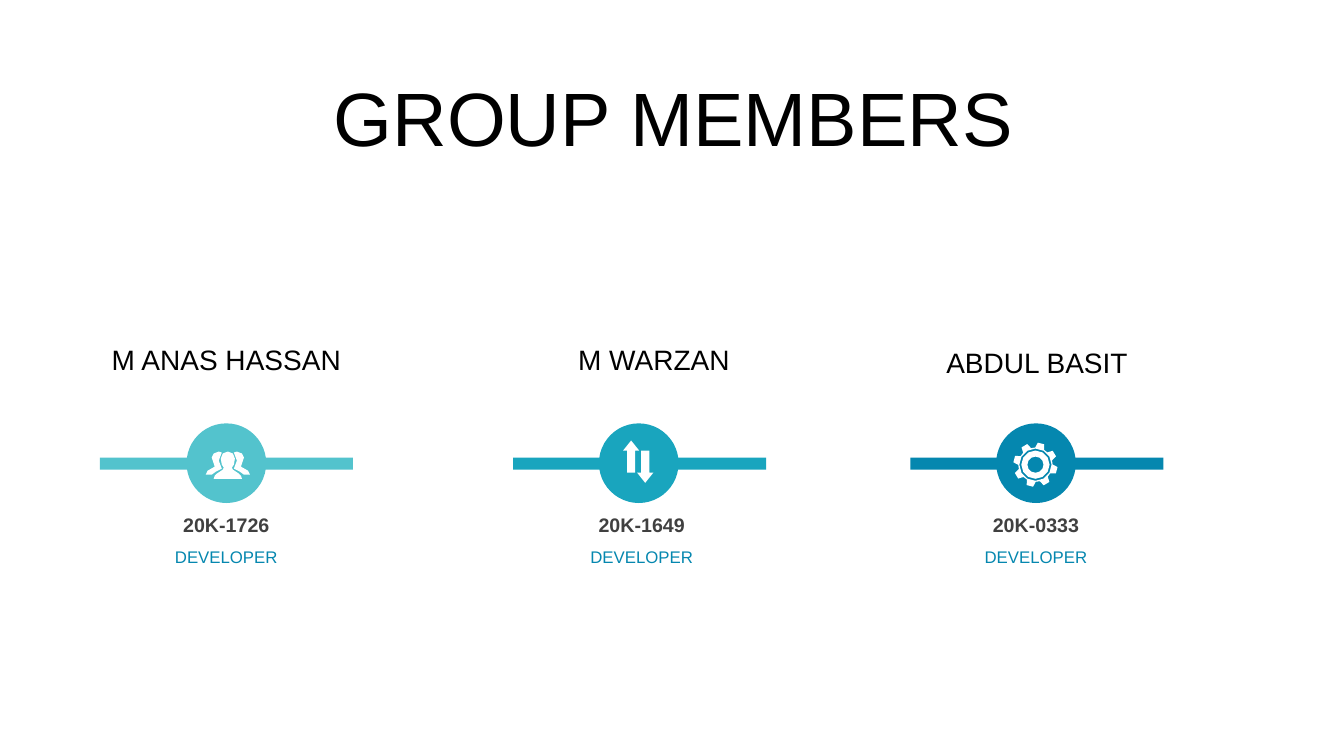
"""Build a slide that introduces three group members with icons, names and roles."""
import math
from pptx import Presentation
from pptx.dml.color import RGBColor
from pptx.enum import shapes, text
from pptx.util import Inches, Pt

WHITE = RGBColor(0xFF, 0xFF, 0xFF)
BLACK = RGBColor(0x00, 0x00, 0x00)
GREY = RGBColor(0x40, 0x40, 0x40)
AQUA = RGBColor(0x53, 0xC3, 0xCD)
TEAL = RGBColor(0x19, 0xA5, 0xBE)
BLUE = RGBColor(0x05, 0x87, 0xAF)


def write(box, words, size, colour, bold=False):
    frame = box.text_frame
    frame.word_wrap = True
    para = frame.paragraphs[0]
    para.alignment = text.PP_ALIGN.CENTER
    span = para.add_run()
    span.text = words
    span.font.name = "Arial"
    span.font.size = Pt(size)
    span.font.bold = bold
    span.font.color.rgb = colour
    return frame


deck = Presentation()
deck.slide_width, deck.slide_height = Inches(13.33), Inches(7.5)
page = deck.slides.add_slide(deck.slide_layouts[5])

title = page.shapes.title
title.left, title.top = Inches(0.35), Inches(0.82)
title.width, title.height = Inches(12.66), Inches(0.79)
frame = write(title, "GROUP MEMBERS", 54, BLACK)
frame.vertical_anchor = text.MSO_ANCHOR.MIDDLE
frame.auto_size = text.MSO_AUTO_SIZE.NONE
frame.paragraphs[0].line_spacing = 0.9
frame.paragraphs[0].space_before = Pt(10)

half_person = [(0, 0), (0.05, 0.02), (0.07, 0.07), (0.06, 0.13), (0.04, 0.16),
               (0.05, 0.18), (0.11, 0.22), (0.13, 0.24), (0.14, 0.27)]
right_person = [(0.09, 0), (0.14, 0.02), (0.16, 0.06), (0.14, 0.12), (0.13, 0.15),
                (0.2, 0.19), (0.22, 0.23), (0.16, 0.23), (0.12, 0.2), (0.06, 0.17),
                (0.09, 0.09), (0.06, 0.01)]
people = [half_person + [(-x, y) for x, y in reversed(half_person[1:])],
          right_person, [(-x, y) for x, y in right_person]]

up_arrow = [(-0.07, -0.21), (0.01, -0.11), (-0.03, -0.11), (-0.03, 0.11),
            (-0.11, 0.11), (-0.11, -0.11), (-0.15, -0.11)]
arrows = [up_arrow, [(-x, -y) for x, y in up_arrow]]

tooth = [(0.22, -8.5), (0.22, 8.5), (0.17, 15.5), (0.17, 29.5)]
gear_rings = [[(radius, 45 * number + 14.7 + turn) for number in range(8) for radius, turn in tooth]]
gear_rings += [[(radius, angle) for angle in range(0, 360, 30)] for radius in (0.16, 0.14, 0.08)]
gear = [[(radius * math.sin(math.radians(angle)), -radius * math.cos(math.radians(angle)))
         for radius, angle in ring] for ring in gear_rings]

members = [
    ("M ANAS HASSAN", "20K-1726", AQUA, 0.99, 1.85, 0.99, 3.35, 1.26, people, 2.26, 4.48),
    ("M WARZAN", "20K-1649", TEAL, 5.09, 5.94, 5.23, 3.35, 5.38, arrows, 6.33, 4.58),
    ("ABDUL BASIT", "20K-0333", BLUE, 9.03, 9.88, 9.03, 3.38, 9.29, gear, 10.27, 4.61),
]
for (name, number, colour, bar_left, disc_left, name_left, name_top, label_left,
     icon, icon_x, icon_y) in members:
    bar = page.shapes.add_shape(shapes.MSO_SHAPE.RECTANGLE, Inches(bar_left), Inches(4.54),
                                Inches(2.51), Inches(0.12))
    disc = page.shapes.add_shape(shapes.MSO_SHAPE.OVAL, Inches(disc_left), Inches(4.2),
                                 Inches(0.79), Inches(0.79))
    contours = [[(Inches(icon_x + x), Inches(icon_y + y)) for x, y in contour]
                for contour in icon]
    builder = page.shapes.build_freeform(*contours[0][0])
    builder.add_line_segments(contours[0][1:], close=True)
    for contour in contours[1:]:
        builder.move_to(*contour[0])
        builder.add_line_segments(contour[1:], close=True)
    symbol = builder.convert_to_shape()
    for shape, fill in ((bar, colour), (disc, colour), (symbol, WHITE)):
        shape.shadow.inherit = False
        shape.fill.solid()
        shape.fill.fore_color.rgb = fill
        shape.line.fill.background()

    for words, top, size, ink, bold in ((number, 5.08, 14, GREY, True),
                                        ("DEVELOPER", 5.4, 12, BLUE, False)):
        label = page.shapes.add_textbox(Inches(label_left), Inches(top), Inches(1.97), Inches(0.25))
        write(label, words, size, ink, bold).vertical_anchor = text.MSO_ANCHOR.MIDDLE
    name_box = page.shapes.add_textbox(Inches(name_left), Inches(name_top),
                                       Inches(2.51), Inches(0.44))
    write(name_box, name, 20, BLACK).auto_size = text.MSO_AUTO_SIZE.SHAPE_TO_FIT_TEXT

deck.save("out.pptx")
